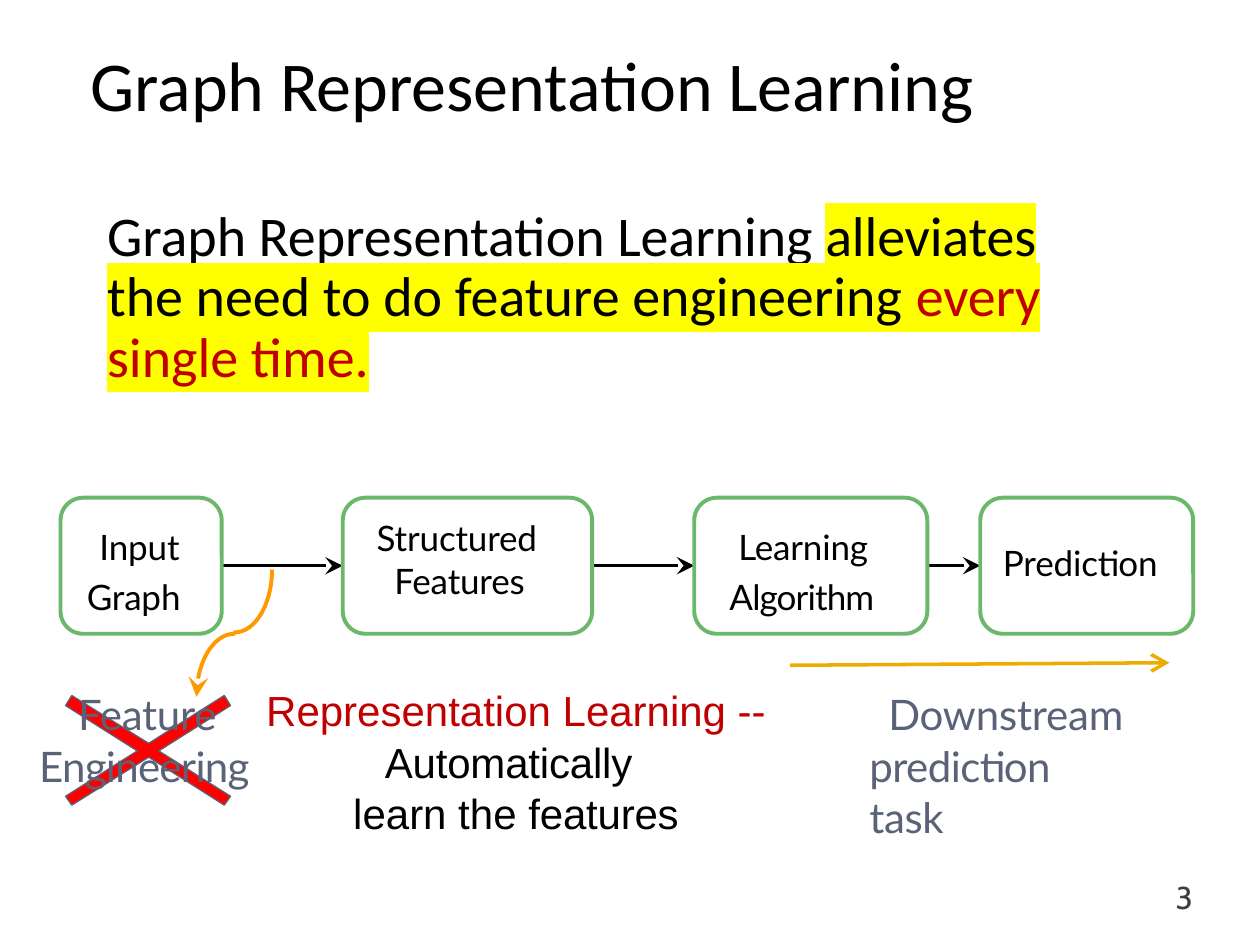
"""Build the Graph Representation Learning pipeline slide."""
import math

import pptx
import pptx.dml.color
import pptx.enum.shapes
import pptx.enum.text
import pptx.oxml
import pptx.oxml.ns
import pptx.util

Inches, Pt = pptx.util.Inches, pptx.util.Pt
ALIGN = pptx.enum.text.PP_ALIGN
ANCHOR = pptx.enum.text.MSO_ANCHOR
SHAPES = pptx.enum.shapes.MSO_SHAPE

BLACK, CRIMSON, SLATE, GREEN = "000000", "C00000", "5A6278", "6BB76C"
ORANGE, GOLD, RED, YELLOW, CHARCOAL = "FF9900", "EFAC00", "FF0000", "FFFF00", "3E3E3E"

BOX_TOP, BOX_HEIGHT = 3.95, 1.08
STAGES = [
    (0.48, 1.28, (0.68, 4.1, 0.87),
     [dict(runs=[("Input", -0.1)], left=0.11, before=1, spacing=Pt(28.6)),
      dict(runs=[("Graph", -0.1)], left=0.01, spacing=Pt(28.6))]),
    (2.72, 1.98, (2.98, 4.09, 1.44),
     [dict(runs=[("Structured", -0.1)], left=0.01, before=1),
      dict(runs=[("Features", -0.1)], left=0.15, before=0.5)]),
    (5.51, 1.85, (5.78, 4.1, 1.3),
     [dict(runs=[("Learning", -0.1)], left=0.08, before=1, spacing=Pt(28.6)),
      dict(runs=[("Algorithm", -0.5)], left=0.01, spacing=Pt(28.6))]),
    (7.78, 1.69, (7.95, 4.29, 1.36),
     [dict(runs=[("Prediction", -0.1)], left=0.01, before=1)]),
]
STATEMENT = [dict(left=0.01, before=5.2, spacing=0.9, runs=[
    ("Graph Representation Learning ", -0.05),
    ("alleviates ", -0.1, BLACK, YELLOW),
    ("the need to do feature engineering ", 0, BLACK, YELLOW),
    ("every ", -0.1, CRIMSON, YELLOW),
    ("single time.", 0, CRIMSON, YELLOW)])]
FEATURE_NOTE = [dict(left=0.01, indent=0.31, before=0.5, spacing=1.02,
                     runs=[("Feature ", -0.1), ("Engineering", -0.4)])]
DOWNSTREAM_NOTE = [dict(left=0.01, indent=0.15, before=0.5, spacing=1.02,
                        runs=[("Downstream ", -0.1), ("prediction ", -0.3), ("task", -0.2)])]
LEARNING_NOTE = [
    dict(align=ALIGN.CENTER, before=1.1,
         runs=[("Representation Learning --", 0, CRIMSON)]),
    dict(align=ALIGN.CENTER, left=0.71, right=0.71, indent=-0.12, before=1.6,
         spacing=Pt(28.6), runs=[("Automatically ", -0.1), ("learn the ", 0), ("features", -0.1)]),
]
CROSS = [(0.52, 5.6), (0.57, 5.52), (1.18, 5.9), (1.78, 5.52), (1.83, 5.6), (1.26, 5.96),
         (1.83, 6.32), (1.78, 6.39), (1.18, 6.01), (0.57, 6.39), (0.52, 6.32), (1.09, 5.96)]


def color(value):
    return pptx.dml.color.RGBColor.from_string(value)


def add_text(slide, place, paragraphs, font, size, default=BLACK,
             insets=(0, 0.01, 0, 0), anchor=ANCHOR.TOP):
    frame = slide.shapes.add_textbox(*map(Inches, place)).text_frame
    frame.word_wrap = True
    frame.auto_size = pptx.enum.text.MSO_AUTO_SIZE.SHAPE_TO_FIT_TEXT
    frame.vertical_anchor = anchor
    frame.margin_left, frame.margin_top, frame.margin_right, frame.margin_bottom = map(Inches, insets)
    for index, content in enumerate(paragraphs):
        paragraph = frame.add_paragraph() if index else frame.paragraphs[0]
        paragraph.alignment = content.get("align")
        paragraph.line_spacing = content.get("spacing")
        paragraph.space_before = Pt(content.get("before", 0))
        properties = paragraph._p.get_or_add_pPr()
        for attribute, key in (("marL", "left"), ("marR", "right"), ("indent", "indent")):
            properties.set(attribute, str(Inches(content.get(key, 0))))
        for words, tracking, *colors in content["runs"]:
            run = paragraph.add_run()
            run.text = words
            run.font.name, run.font.size = font, Pt(size)
            run.font.color.rgb = color(colors[0] if colors else default)
            run_properties = run.font._element
            run_properties.set("spc", str(round(tracking * 100)))
            if len(colors) > 1:
                highlight = pptx.oxml.parse_xml(
                    f'<a:highlight {pptx.oxml.ns.nsdecls("a")}><a:srgbClr val="{colors[1]}"/></a:highlight>')
                run_properties.find(pptx.oxml.ns.qn("a:solidFill")).addnext(highlight)


def add_head(line, head):
    line._get_or_add_ln().append(pptx.oxml.parse_xml(
        f'<a:tailEnd {pptx.oxml.ns.nsdecls("a")} type="{head}" w="lg" len="lg"/>'))


def style_line(shape, stroke, width):
    shape.line.color.rgb = color(stroke)
    shape.line.width = Pt(width)


def add_arrow(slide, start, end, stroke, head):
    arrow = slide.shapes.add_connector(pptx.enum.shapes.MSO_CONNECTOR.STRAIGHT,
                                       *map(Inches, (*start, *end)))
    style_line(arrow, stroke, 2)
    add_head(arrow.line, head)
    arrow._element.spPr.append(pptx.oxml.parse_xml(
        f'<a:effectLst {pptx.oxml.ns.nsdecls("a")}/>'))


def add_outline(slide, points, close):
    corners = [(Inches(x), Inches(y)) for x, y in points]
    builder = slide.shapes.build_freeform(*corners[0])
    builder.add_line_segments(corners[1:], close=close)
    outline = builder.convert_to_shape()
    outline.shadow.inherit = False
    return outline


def main():
    deck = pptx.Presentation()
    deck.slide_width, deck.slide_height = Inches(10), Inches(7.5)
    slide = deck.slides.add_slide(deck.slide_layouts[6])

    angles = [math.radians(step * 6) for step in range(16)]
    bend = [(1.86 + 0.3 * math.cos(a), 4.52 + 0.5 * math.sin(a)) for a in angles]
    bend += [(1.86 - 0.3 * math.sin(a), 5.53 - 0.5 * math.cos(a)) for a in angles]
    detour = add_outline(slide, bend, False)
    detour.fill.background()
    style_line(detour, ORANGE, 2.25)
    add_head(detour.line, "stealth")

    cross = add_outline(slide, CROSS, True)
    cross.fill.solid()
    cross.fill.fore_color.rgb = color(RED)
    style_line(cross, SLATE, 0.75)

    add_text(slide, (6.89, 5.45, 2.04, 0.84), DOWNSTREAM_NOTE, "Lato", 24, SLATE)
    add_text(slide, (0.3, 5.45, 1.72, 0.84), FEATURE_NOTE, "Lato", 24, SLATE)
    add_text(slide, (2.09, 5.42, 4.01, 1.23), LEARNING_NOTE, "Arial", 24)
    add_text(slide, (0.62, 0.28, 8.65, 0.77),
             [dict(runs=[("Graph Representation Learning", 0)])], "Calibri", 40,
             insets=(0.1, 0.05, 0.1, 0.05))

    middle = BOX_TOP + BOX_HEIGHT / 2
    for (left, width, *_), (following, *_) in zip(STAGES, STAGES[1:]):
        add_arrow(slide, (left + width, middle), (following, middle), BLACK, "stealth")
    for left, width, label_place, label in STAGES:
        box = slide.shapes.add_shape(SHAPES.ROUNDED_RECTANGLE,
                                     *map(Inches, (left, BOX_TOP, width, BOX_HEIGHT)))
        box.shadow.inherit = False
        box.fill.background()
        style_line(box, GREEN, 2.25)
        add_text(slide, (*label_place, 0.7), label, "Lato", 20)

    add_arrow(slide, (6.27, 5.28), (9.28, 5.26), GOLD, "arrow")
    add_text(slide, (0.84, 1.57, 8.01, 1.53), STATEMENT, "Calibri", 32,
             insets=(0, 0.07, 0, 0), anchor=ANCHOR.MIDDLE)
    add_text(slide, (9.23, 6.97, 0.51, 0.3), [dict(runs=[("3", 0)], left=0.1, before=0.6)],
             "Cabin", 18, CHARCOAL, insets=(0, 0, 0, 0))
    deck.save("out.pptx")


if __name__ == "__main__":
    main()
